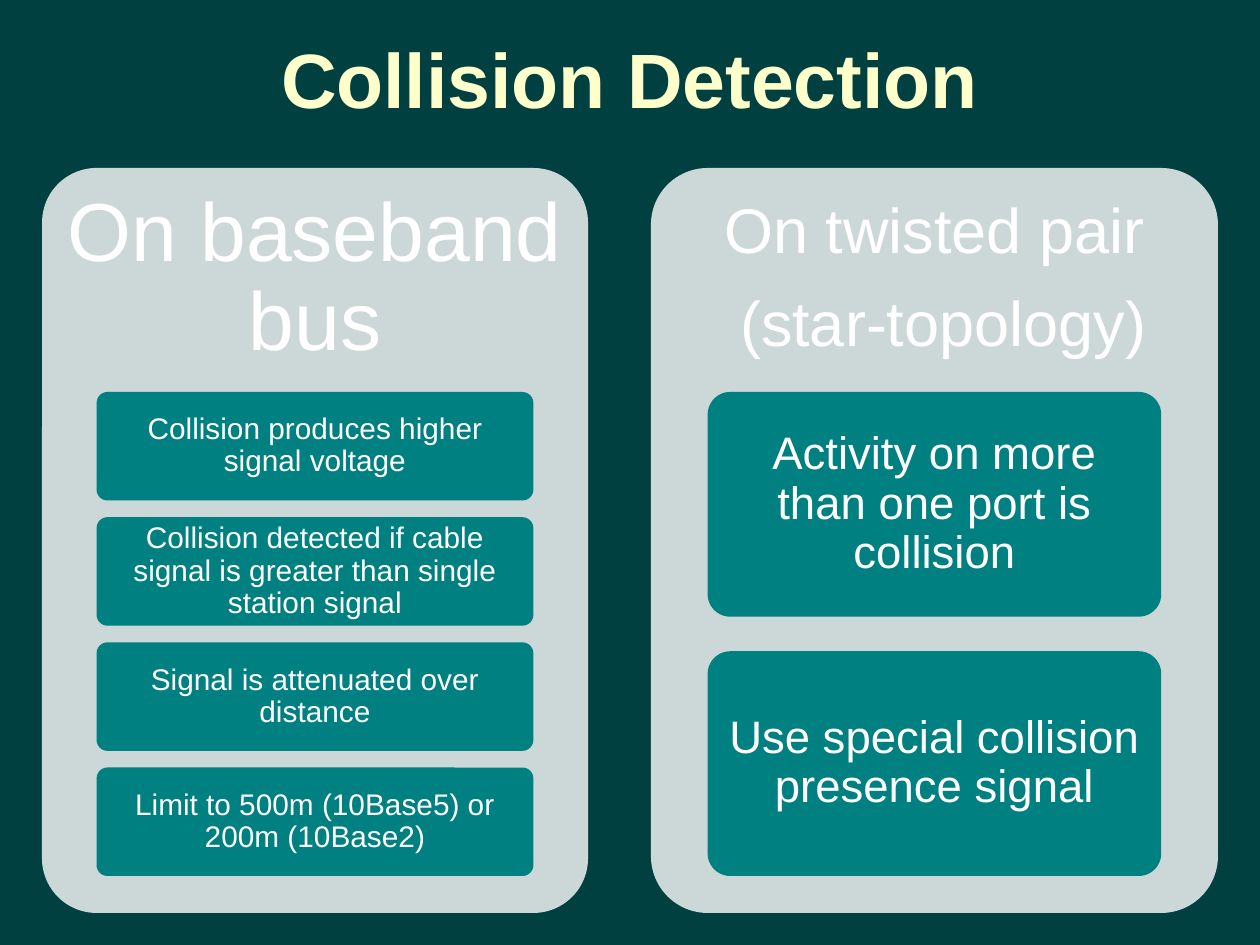
from pptx import Presentation
from pptx.dml.color import RGBColor
from pptx.enum.shapes import MSO_SHAPE
from pptx.enum.text import MSO_ANCHOR, PP_ALIGN
from pptx.util import Emu, Inches, Pt

SCALE = Inches(1) / 126
PANEL_TOP, PANEL_H, HEAD_H = 168, 745, 223
CARD_TOP, CARDS_H = 392, 484
GAP_RATIO = 2 / 13

COLUMNS = [
    dict(x=651, w=567, heading="On twisted pair\n (star-topology)",
         head_size=36, size=26,
         cards=["Activity on more than one port is collision",
                "Use special collision presence signal"]),
    dict(x=42, w=546, heading="On baseband bus",
         head_size=47, size=17,
         cards=["Collision produces higher signal voltage",
                "Collision detected if cable signal is greater than single station signal",
                "Signal is attenuated over distance",
                "Limit to 500m (10Base5) or 200m (10Base2)"]),
]


def px(n):
    """Turn pixels into EMU."""
    return Emu(round(n * SCALE))


def rgb(value):
    """Turn a hex string into a colour."""
    return RGBColor.from_string(value)


class Deck:
    """Style and current slide, with a method for each kind of element."""

    font = "Arial"
    back, panel_fill, card_fill = "004040", "CCD8D8", "008080"
    title_color, text_color = "FFFFCC", "FFFFFF"

    def __init__(self):
        """Open a 10 by 7.5 inch deck with one title-only slide."""
        self.prs = Presentation()
        self.prs.slide_width, self.prs.slide_height = px(1260), px(945)
        self.s = self.prs.slides.add_slide(self.prs.slide_layouts[5])
        fill = self.s.background.fill
        fill.solid()
        fill.fore_color.rgb = rgb(self.back)

    def set_text(self, sp, text, size, color, inset=(12, 6), bold=False):
        """Put centred text into a shape."""
        tf = sp.text_frame
        tf.text = text
        tf.word_wrap = True
        tf.vertical_anchor = MSO_ANCHOR.MIDDLE
        tf.margin_left = tf.margin_right = px(inset[0])
        tf.margin_top = tf.margin_bottom = px(inset[1])
        for p in tf.paragraphs:
            p.alignment = PP_ALIGN.CENTER
            p.line_spacing = 0.9
            p.space_after = Pt(round(size * 0.39))
            for r in p.runs:
                r.font.name, r.font.size, r.font.bold = self.font, Pt(size), bold
                r.font.color.rgb = rgb(color)

    def title(self, text):
        """Fill and place the title placeholder."""
        sp = self.s.shapes.title
        sp.left, sp.top, sp.width, sp.height = px(63), px(5), px(1134), px(158)
        self.set_text(sp, text, 44, self.title_color, bold=True)

    def box(self, x, y, w, h, color):
        """Add a rounded rectangle without outline."""
        sp = self.s.shapes.add_shape(
            MSO_SHAPE.ROUNDED_RECTANGLE, px(x), px(y), px(w), px(h))
        sp.adjustments[0] = 0.1
        sp.shadow.inherit = False
        sp.fill.solid()
        sp.fill.fore_color.rgb = rgb(color)
        sp.line.fill.background()
        return sp

    def heading(self, x, y, w, h, text, size):
        """Add a panel heading."""
        sp = self.s.shapes.add_textbox(px(x), px(y), px(w), px(h))
        inset = round(size * 0.53)
        self.set_text(sp, text, size, self.text_color, (inset, inset))

    def column(self, x, w, heading, head_size, size, cards):
        """Add a panel with its heading and evenly stacked cards."""
        self.box(x, PANEL_TOP, w, PANEL_H, self.panel_fill)
        self.heading(x, PANEL_TOP, w, HEAD_H, heading, head_size)
        n = len(cards)
        h = CARDS_H / (n + (n - 1) * GAP_RATIO)
        for i, text in enumerate(cards):
            y = CARD_TOP + i * h * (1 + GAP_RATIO)
            sp = self.box(x + w * 0.1, y, w * 0.8, h, self.card_fill)
            inset = round(size * 0.35), round(size * 0.26)
            self.set_text(sp, text, size, self.text_color, inset)


def main():
    """Build the slide and save it."""
    deck = Deck()
    deck.title("Collision Detection")
    for column in COLUMNS:
        deck.column(**column)
    deck.prs.save("out.pptx")


if __name__ == "__main__":
    main()
